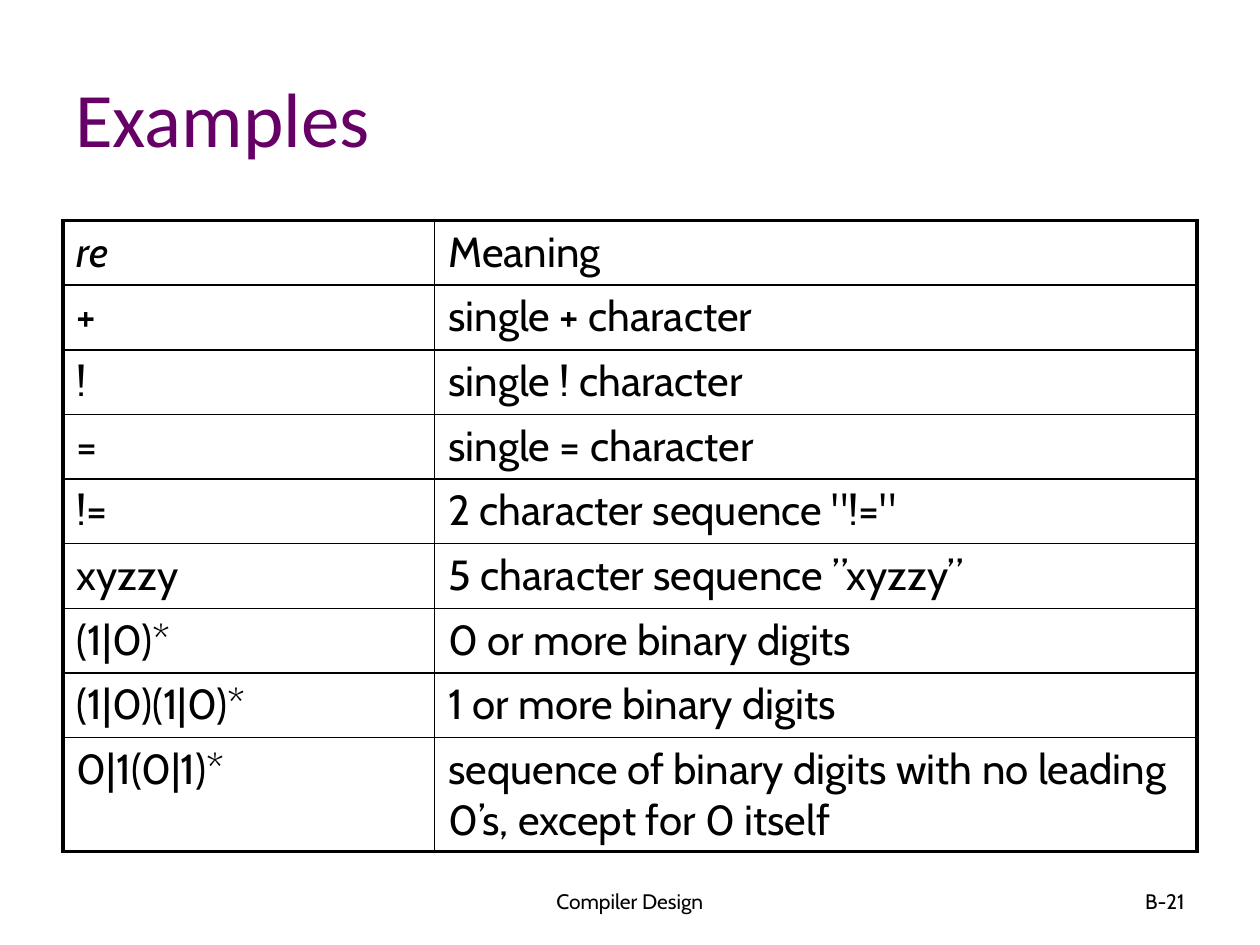
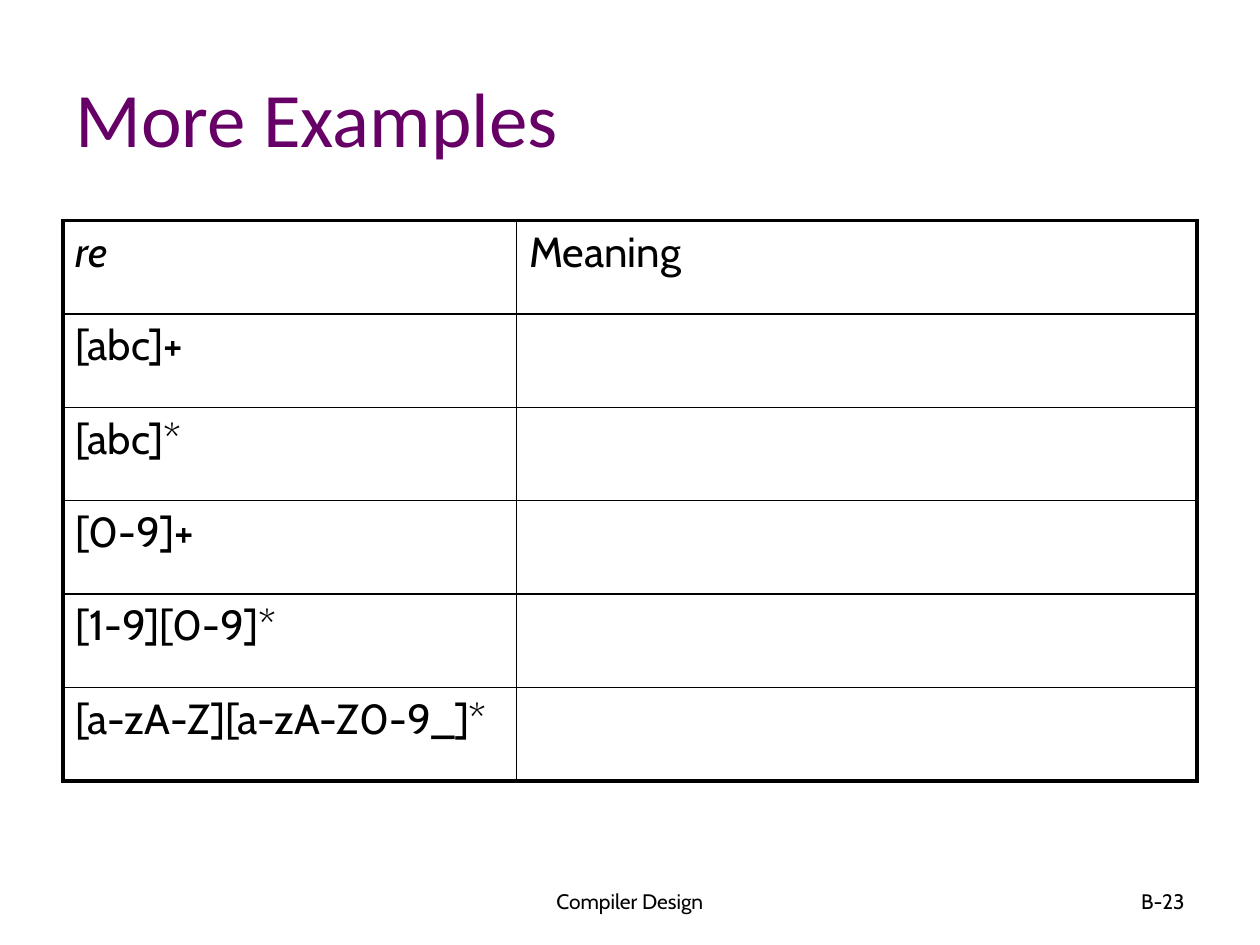
"""Builds two slides of regular expression examples with ruled tables."""
from dataclasses import dataclass

from lxml import etree
from pptx import Presentation
from pptx import util as u
from pptx.dml.color import RGBColor
from pptx.enum import text
from pptx.oxml import ns


@dataclass(frozen=True)
class Theme:
    title_color: str = "660066"
    ink: str = "000000"
    title_font: str = "Calibri"
    body_font: str = "Cabin"
    title_size: float = 44
    table_size: float = 24
    footer_size: float = 12
    outer_rule: float = 2.25
    inner_rule: float = 1


theme = Theme()
ALIGN = text.PP_ALIGN
MARGIN, TABLE_TOP, TABLE_WIDTH = 36, 126, 648
FOOTER_TOP, FOOTER_HEIGHT = 500.4, 28.8

pages = [
    {
        "title": "Examples",
        "number": "B-21",
        "columns": [212.4, 435.6],
        "heights": [36.95] * 8 + [65.1],
        "side_inset": 7.9,
        "rows": [
            ("re", "Meaning"),
            ("+", "single + character"),
            ("!", "single ! character"),
            ("=", "single = character"),
            ("!=", '2 character sequence "!="'),
            ("xyzzy", "5 character sequence ”xyzzy”"),
            ("(1|0)*", "0 or more binary digits"),
            ("(1|0)(1|0)*", "1 or more binary digits"),
            ("0|1(0|1)*", "sequence of binary digits with no leading 0’s, except for 0 itself"),
        ],
    },
    {
        "title": "More Examples",
        "number": "B-23",
        "columns": [259.2, 388.8],
        "heights": [53.4] * 6,
        "side_inset": 7.2,
        "rows": [
            ("re", "Meaning"),
            ("[abc]+", ""),
            ("[abc]*", ""),
            ("[0-9]+", ""),
            ("[1-9][0-9]*", ""),
            ("[a-zA-Z][a-zA-Z0-9_]*", ""),
        ],
    },
]


def write(para, wording, size, font=theme.body_font, color=theme.ink, italic=False):
    span = para.add_run()
    span.text = wording
    span.font.size = u.Pt(size)
    span.font.name = font
    span.font.italic = italic
    span.font.color.rgb = RGBColor.from_string(color)


def add_rule(cell, side, width):
    properties = cell._tc.get_or_add_tcPr()
    rule = etree.SubElement(properties, ns.qn(f"a:ln{side}"), w=str(u.Pt(width)))
    fill = etree.SubElement(rule, ns.qn("a:solidFill"))
    etree.SubElement(fill, ns.qn("a:srgbClr"), val=theme.ink)


deck = Presentation()
deck.slide_width, deck.slide_height = u.Pt(720), u.Pt(540)

for content in pages:
    page = deck.slides.add_slide(deck.slide_layouts[6])

    labels = [
        (content["title"], MARGIN, 21.6, TABLE_WIDTH, 90, ALIGN.LEFT,
         (theme.title_size, theme.title_font, theme.title_color)),
        ("Compiler Design", 246, FOOTER_TOP, 228, FOOTER_HEIGHT, ALIGN.CENTER,
         (theme.footer_size,)),
        (content["number"], 516, FOOTER_TOP, 168, FOOTER_HEIGHT, ALIGN.RIGHT,
         (theme.footer_size,)),
    ]
    for wording, left, top, width, height, alignment, style in labels:
        box = page.shapes.add_textbox(u.Pt(left), u.Pt(top), u.Pt(width), u.Pt(height))
        box.text_frame.word_wrap = True
        box.text_frame.vertical_anchor = text.MSO_ANCHOR.MIDDLE
        para = box.text_frame.paragraphs[0]
        para.alignment = alignment
        write(para, wording, *style)

    rows, columns, heights = content["rows"], content["columns"], content["heights"]
    table = page.shapes.add_table(
        len(rows), len(columns), u.Pt(MARGIN), u.Pt(TABLE_TOP),
        u.Pt(TABLE_WIDTH), u.Pt(sum(heights)),
    ).table
    table.first_row = table.horz_banding = False
    for column, width in zip(table.columns, columns):
        column.width = u.Pt(width)

    for row_index, row in enumerate(rows):
        table.rows[row_index].height = u.Pt(heights[row_index])
        for column_index, wording in enumerate(row):
            cell = table.cell(row_index, column_index)
            cell.margin_left = cell.margin_right = u.Pt(content["side_inset"])
            cell.margin_top = cell.margin_bottom = u.Pt(3.6)
            outer_sides = {
                "L": column_index == 0,
                "R": column_index == len(columns) - 1,
                "T": row_index == 0,
                "B": row_index == len(rows) - 1,
            }
            for side, is_outer in outer_sides.items():
                add_rule(cell, side, theme.outer_rule if is_outer else theme.inner_rule)
            cell.fill.background()
            if wording:
                write(cell.text_frame.paragraphs[0], wording, theme.table_size,
                      italic=wording == "re")

deck.save("out.pptx")
